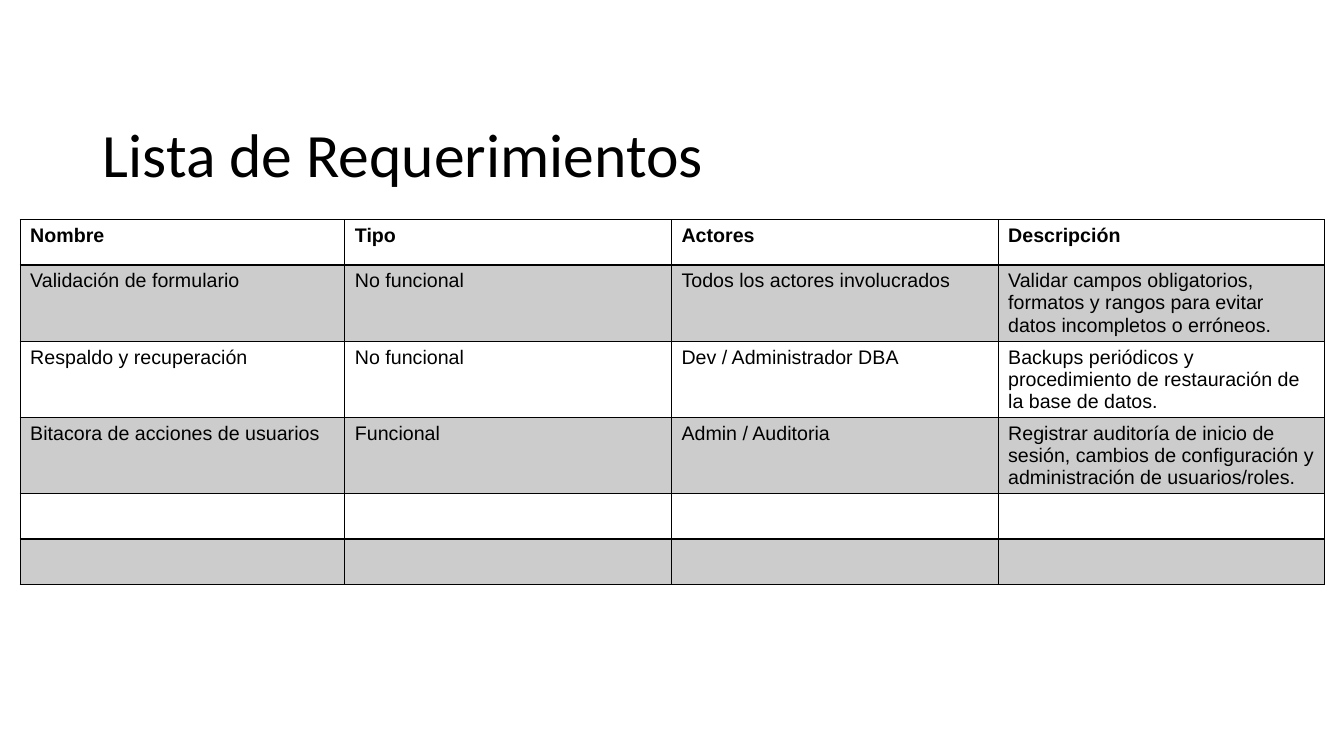
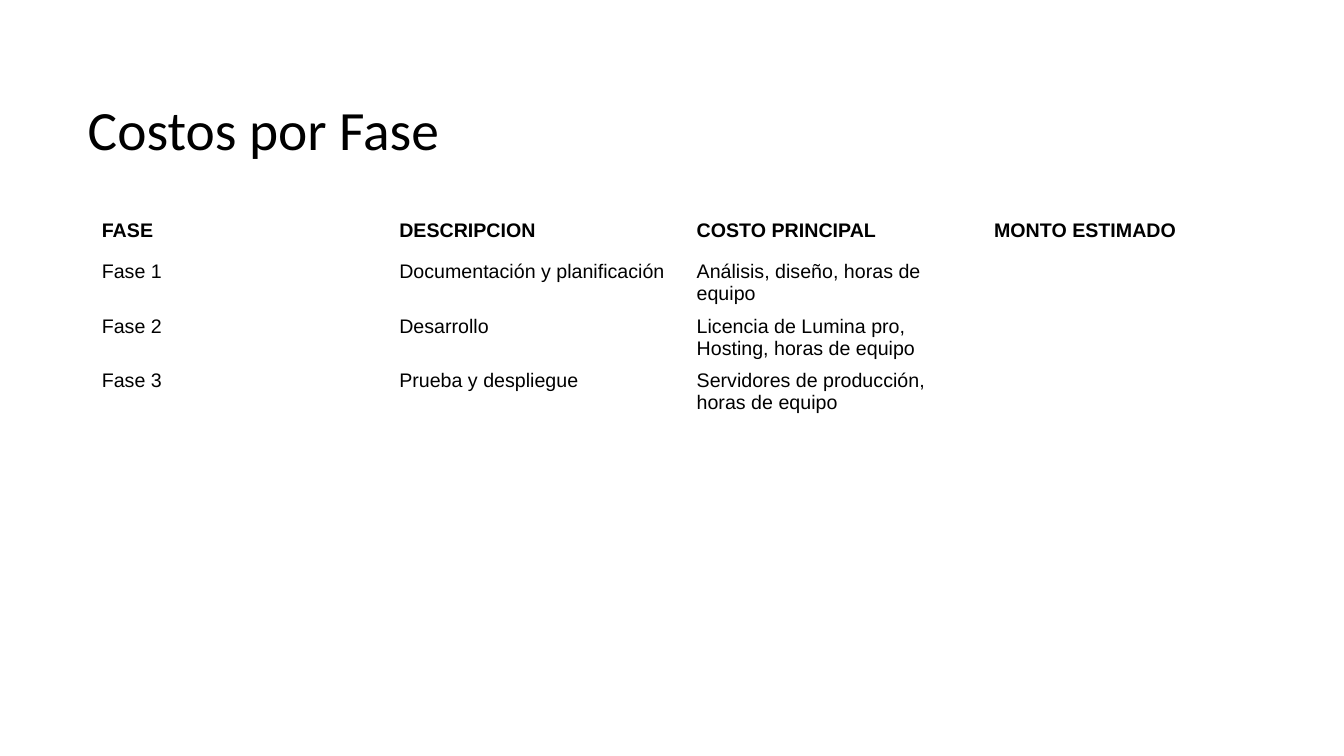
"""Build two slides: a requirements table and a table of costs per phase."""
from pptx import Presentation
from pptx import util as u
from pptx.dml.color import RGBColor
from pptx.enum import text
from pptx.oxml import parse_xml
from pptx.oxml.ns import nsdecls, qn

COLORS = {"ink": "000000", "band": "CCCCCC"}
TITLE_FONT, TABLE_FONT = "Calibri", "Arial"
PLAIN_STYLE = "{2D5ABB26-0587-4C30-8999-92F81FD0307C}"
TITLE_ONLY = 5

SLIDES = [
    {
        "title": "Lista de Requerimientos",
        "title_at": (0.92, 1.15, 11.5, 0.82),
        "title_size": 44,
        "table_at": (0.2, 2.18),
        "columns": [3.22, 3.24, 3.24, 3.24],
        "heights": [0.45, 0.75, 0.75, 0.75, 0.45, 0.45],
        "grid": True,
        "rows": [
            ("Nombre", "Tipo", "Actores", "Descripción"),
            ("Validación de formulario", "No funcional", "Todos los actores involucrados",
             "Validar campos obligatorios, formatos y rangos para evitar datos "
             "incompletos o erróneos."),
            ("Respaldo y recuperación", "No funcional", "Dev / Administrador DBA",
             "Backups periódicos y procedimiento de restauración de la base de datos."),
            ("Bitacora de acciones de usuarios", "Funcional", "Admin / Auditoria",
             "Registrar auditoría de inicio de sesión, cambios de configuración y "
             "administración de usuarios/roles."),
            ("", "", "", ""),
            ("", "", "", ""),
        ],
    },
    {
        "title": "Costos por Fase",
        "title_at": (0.77, 0.99, 11.5, 0.64),
        "title_size": 39.6,
        "table_at": (0.91, 2.13),
        "columns": [2.95] * 4,
        "heights": [0.41, 0.53, 0.53, 0.53],
        "grid": False,
        "rows": [
            ("FASE", "DESCRIPCION", "COSTO PRINCIPAL", "MONTO ESTIMADO"),
            ("Fase 1", "Documentación y planificación", "Análisis, diseño, horas de equipo", ""),
            ("Fase 2", "Desarrollo", "Licencia de Lumina pro, Hosting, horas de equipo", ""),
            ("Fase 3", "Prueba y despliegue", "Servidores de producción, horas de equipo", ""),
        ],
    },
]


def style_font(font, name, size, bold=False):
    font.name, font.size, font.bold = name, u.Pt(size), bold
    font.color.rgb = RGBColor.from_string(COLORS["ink"])


def add_title(slide, content):
    title = slide.shapes.title
    title.left, title.top, title.width, title.height = map(u.Inches, content["title_at"])
    frame = title.text_frame
    frame.text = content["title"]
    frame.auto_size = text.MSO_AUTO_SIZE.NONE
    frame.vertical_anchor = text.MSO_ANCHOR.MIDDLE
    para = frame.paragraphs[0]
    para.alignment = text.PP_ALIGN.LEFT
    para.line_spacing = 0.9
    style_font(para.font, TITLE_FONT, content["title_size"])


def set_borders(cell, row_index):
    """Draw 1 pt borders, with a 2 pt line under the header."""
    widths = {"L": 1, "R": 1, "T": 2 if row_index == 1 else 1, "B": 2 if row_index == 0 else 1}
    properties = cell._tc.get_or_add_tcPr()
    for position, (side, width) in enumerate(widths.items()):
        properties.insert(position, parse_xml(
            f'<a:ln{side} {nsdecls("a")} w="{u.Pt(width)}"><a:solidFill>'
            f'<a:srgbClr val="{COLORS["ink"]}"/></a:solidFill></a:ln{side}>'))


def fill_cell(cell, value, row_index, grid):
    cell.text = value
    style_font(cell.text_frame.paragraphs[0].font, TABLE_FONT, 14, bold=row_index == 0)
    if grid and row_index % 2:
        cell.fill.solid()
        cell.fill.fore_color.rgb = RGBColor.from_string(COLORS["band"])
    else:
        cell.fill.background()
    if grid:
        set_borders(cell, row_index)


def add_table(slide, content):
    rows, columns, heights = content["rows"], content["columns"], content["heights"]
    left, top = content["table_at"]
    frame = slide.shapes.add_table(
        len(rows), len(columns), u.Inches(left), u.Inches(top),
        u.Inches(sum(columns)), u.Inches(sum(heights)))
    table = frame.table
    table._tbl.tblPr.find(qn("a:tableStyleId")).text = PLAIN_STYLE
    table.horz_banding = content["grid"]
    for column, width in zip(table.columns, columns):
        column.width = u.Inches(width)
    for row_index, (row, height, values) in enumerate(zip(table.rows, heights, rows)):
        row.height = u.Inches(height)
        for cell, value in zip(row.cells, values):
            fill_cell(cell, value, row_index, content["grid"])


def main():
    deck = Presentation()
    deck.slide_width, deck.slide_height = u.Inches(13.33), u.Inches(7.5)
    for content in SLIDES:
        slide = deck.slides.add_slide(deck.slide_layouts[TITLE_ONLY])
        add_title(slide, content)
        add_table(slide, content)
    deck.save("out.pptx")


if __name__ == "__main__":
    main()
